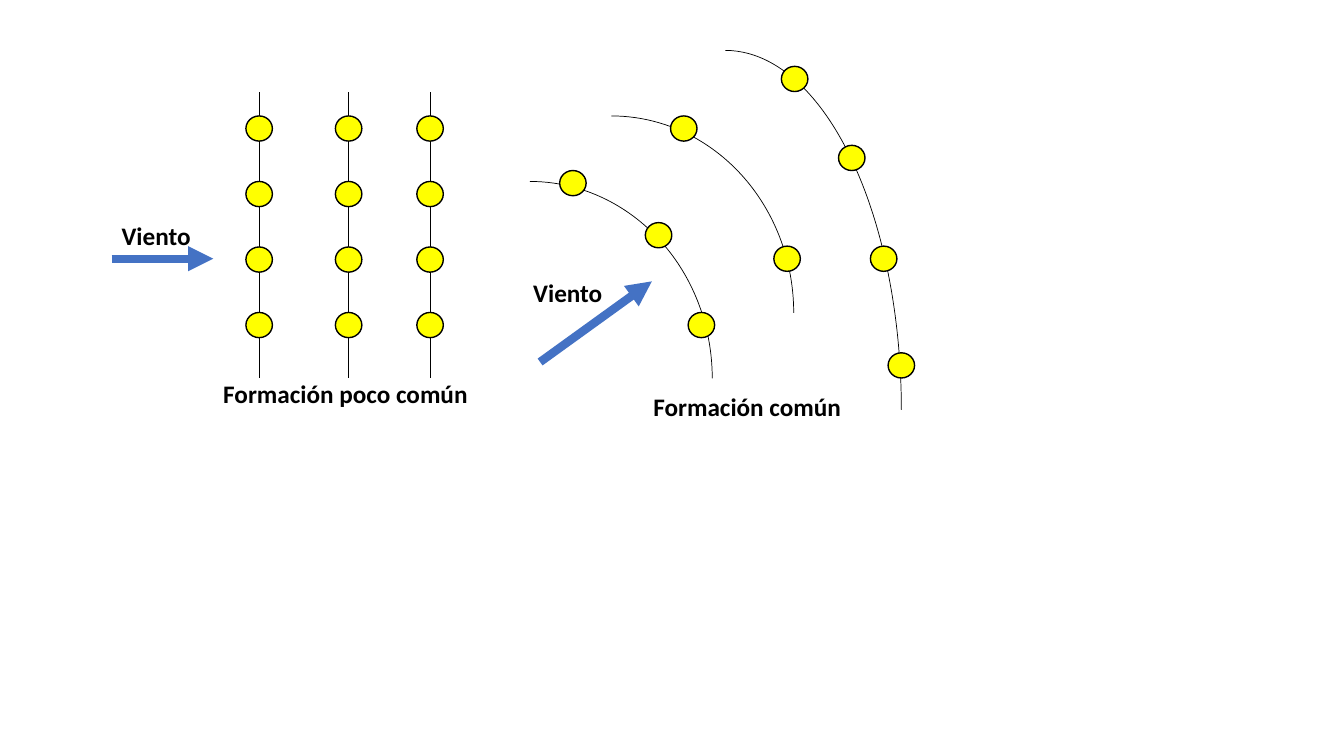
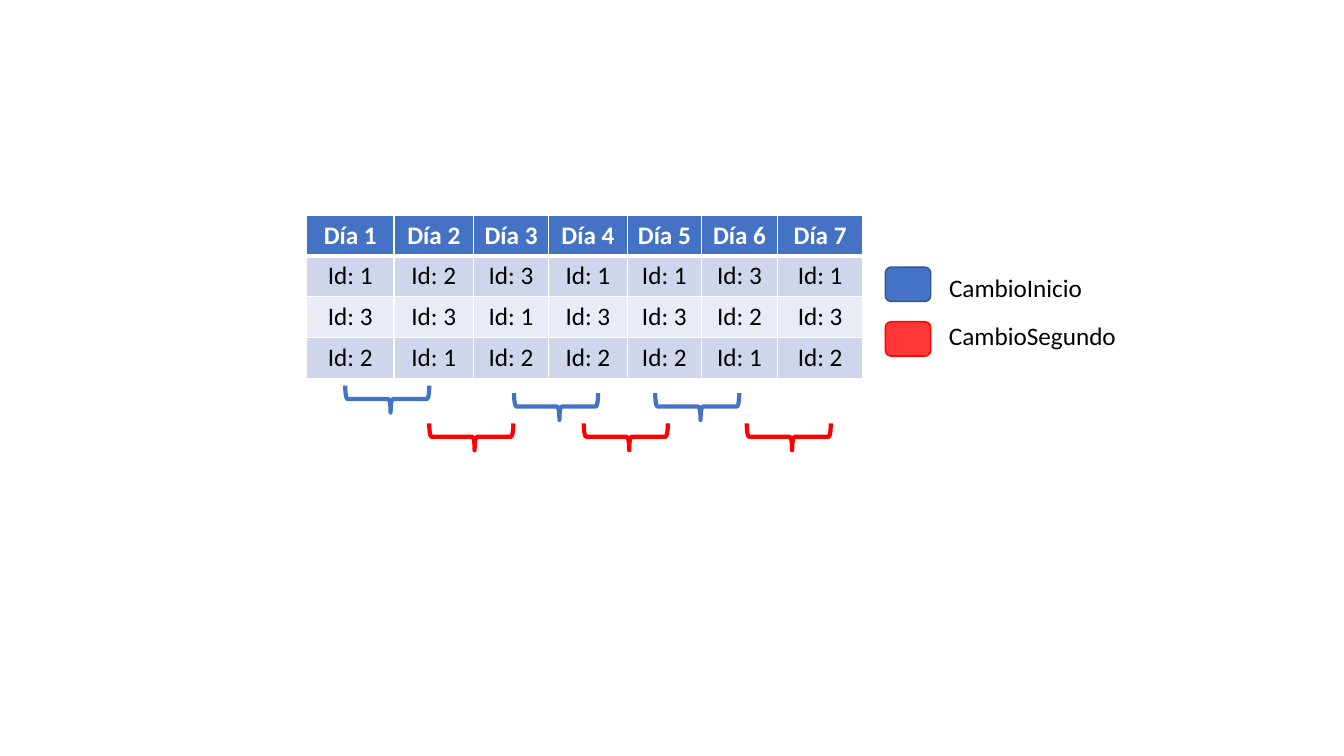
from lxml import etree
from pptx import Presentation
from pptx.dml.color import RGBColor
from pptx.enum.shapes import MSO_CONNECTOR, MSO_SHAPE
from pptx.enum.text import MSO_AUTO_SIZE, PP_ALIGN
from pptx.oxml.ns import qn
from pptx.util import Inches, Pt

BLACK = RGBColor(0x00, 0x00, 0x00)
WHITE = RGBColor(0xFF, 0xFF, 0xFF)
YELLOW = RGBColor(0xFF, 0xFF, 0x00)
RED = RGBColor(0xFF, 0x00, 0x00)
SOFT_RED = RGBColor(0xFF, 0x37, 0x37)
BLUE = RGBColor(0x44, 0x72, 0xC4)
DARK_BLUE = RGBColor(0x32, 0x54, 0x91)
BAND_DARK = RGBColor(0xCF, 0xD5, 0xEA)
BAND_LIGHT = RGBColor(0xE9, 0xEB, 0xF5)

ARC = MSO_SHAPE.ARC
BRACE = MSO_SHAPE.LEFT_BRACE
OVAL = MSO_SHAPE.OVAL
ROUNDED = MSO_SHAPE.ROUNDED_RECTANGLE
STRAIGHT = MSO_CONNECTOR.STRAIGHT
CENTER = PP_ALIGN.CENTER
GROW = MSO_AUTO_SIZE.SHAPE_TO_FIT_TEXT

FONT = "Calibri"
TEXT_SIZE = Pt(18)
BLANK_LAYOUT = 6
COLUMNS, ROWS = 160, 90  # square grid over a 16:9 slide


class Deck:
    """Holds the shared style and the slide being drawn."""

    def __init__(self):
        self.prs = Presentation()
        self.prs.slide_width = Inches(13.33)
        self.prs.slide_height = Inches(7.5)
        self.s = None

    def x(self, columns):
        return int(self.prs.slide_width * columns / COLUMNS)

    def y(self, rows):
        return int(self.prs.slide_height * rows / ROWS)

    def box(self, left, top, width, height):
        return self.x(left), self.y(top), self.x(width), self.y(height)

    def new_slide(self):
        self.s = self.prs.slides.add_slide(self.prs.slide_layouts[BLANK_LAYOUT])

    def style_text(self, p, color, bold):
        for r in p.runs:
            r.font.name = FONT
            r.font.size = TEXT_SIZE
            r.font.bold = bold
            r.font.color.rgb = color

    def shape(self, kind, left, top, width, height, line, weight, fill=None):
        sp = self.s.shapes.add_shape(kind, *self.box(left, top, width, height))
        sp.shadow.inherit = False
        if fill is None:
            sp.fill.background()
        else:
            sp.fill.solid()
            sp.fill.fore_color.rgb = fill
        sp.line.color.rgb = line
        sp.line.width = Pt(weight)
        return sp

    def turbine(self, cx, cy, width=3.15, height=3):
        self.shape(OVAL, cx - width / 2, cy - height / 2, width, height,
                   BLACK, 1, YELLOW)

    def brace(self, cx, cy, color, depth=3.2, span=10):
        sp = self.shape(BRACE, cx - depth / 2, cy - span / 2, depth, span, color, 3)
        sp.rotation = 270
        sp.adjustments[0] = 0.08
        sp.adjustments[1] = 0.54

    def line(self, x1, y1, x2, y2, color=BLACK, weight=0.5, arrow=False):
        cn = self.s.shapes.add_connector(
            STRAIGHT, self.x(x1), self.y(y1), self.x(x2), self.y(y2))
        cn.line.color.rgb = color
        cn.line.width = Pt(weight)
        if arrow:
            etree.SubElement(cn.line._get_or_add_ln(), qn("a:tailEnd"), type="triangle")
        etree.SubElement(cn._element.spPr, qn("a:effectLst"))

    def label(self, text, left, top, width, bold=False):
        tf = self.s.shapes.add_textbox(*self.box(left, top, width, 4.8)).text_frame
        tf.word_wrap = False
        tf.auto_size = GROW
        tf.text = text
        self.style_text(tf.paragraphs[0], BLACK, bold)

    def border(self, cell, side, weight):
        ln = etree.SubElement(cell._tc.get_or_add_tcPr(), qn(f"a:ln{side}"),
                              w=str(Pt(weight)))
        fill = etree.SubElement(ln, qn("a:solidFill"))
        etree.SubElement(fill, qn("a:srgbClr"), val=str(WHITE))

    def table(self, data, left, top, widths, row_height):
        frame = self.s.shapes.add_table(
            len(data), len(widths),
            *self.box(left, top, sum(widths), row_height * len(data)))
        table = frame.table
        for column, width in zip(table.columns, widths):
            column.width = self.x(width)
        for i, values in enumerate(data):
            table.rows[i].height = self.y(row_height)
            header = i == 0
            band = BLUE if header else BAND_DARK if i % 2 else BAND_LIGHT
            for j, value in enumerate(values):
                cell = table.cell(i, j)
                # Borders precede the fill in the cell properties
                for side in "LRTB":
                    thick = (i, side) in ((0, "B"), (1, "T"))
                    self.border(cell, side, 3 if thick else 1)
                cell.fill.solid()
                cell.fill.fore_color.rgb = band
                cell.text = value
                p = cell.text_frame.paragraphs[0]
                p.alignment = CENTER
                self.style_text(p, WHITE if header else BLACK, header)


def formations_slide(deck):
    deck.new_slide()

    # Straight rows and curved rows
    straight_rows = (30.85, 41.5, 51.2)
    for x in straight_rows:
        deck.line(x, 11, x, 45)
    for arc in ((41.4, 21.6, 43.4, 46.9), (51.1, 13.8, 43.4, 46.9),
                (65.4, 6, 41.9, 85.6)):
        deck.shape(ARC, *arc, BLACK, 0.5)

    # Turbines
    for x in straight_rows:
        for i in range(4):
            deck.turbine(x, 15.3 + 7.8 * i)
    for center in ((68.2, 21.8), (78.4, 28), (83.5, 38.7),
                   (81.4, 15.3), (93.7, 30.8),
                   (94.6, 9.4), (101.4, 18.8), (105.2, 30.8), (107.3, 43.5)):
        deck.turbine(*center)

    # Wind arrows and captions
    deck.line(13.3, 30.8, 25.4, 30.8, BLUE, 6, arrow=True)
    deck.line(64.3, 43.1, 77.6, 33.5, BLUE, 6, arrow=True)
    for text, left, top, width in (("Formación poco común", 25.4, 44.5, 31.7),
                                   ("Formación común", 76.6, 46, 25),
                                   ("Viento", 13.3, 25.6, 10.7),
                                   ("Viento", 62.3, 32.4, 10.7)):
        deck.label(text, left, top, width, bold=True)


def changes_slide(deck):
    deck.new_slide()

    # Order of the ids on each day
    days = ("132", "231", "312", "132", "132", "321", "132")
    data = [[f"Día {n}" for n in range(1, len(days) + 1)]]
    data += [[f"Id: {n}" for n in row] for row in zip(*days)]
    deck.table(data, 36.5, 25.6, (10.4, 9.5, 8.9, 9.4, 8.8, 9.1, 10.1), 4.87)

    # Braces between consecutive days
    for cx, cy in ((46.1, 47.5), (66.2, 48.4), (83, 48.4)):
        deck.brace(cx, cy, BLUE)
    for cx in (56.1, 74.5, 93.9):
        deck.brace(cx, 52, RED)

    # Legend
    for text, width, text_top, swatch_top, fill, line in (
            ("CambioInicio", 18.5, 31.8, 31.8, BLUE, DARK_BLUE),
            ("CambioSegundo", 22.6, 37.6, 38.3, SOFT_RED, RED)):
        deck.shape(ROUNDED, 105.4, swatch_top, 5.4, 4.1, line, 1, fill)
        deck.label(text, 111.8, text_top, width)


def main():
    deck = Deck()
    formations_slide(deck)
    changes_slide(deck)
    deck.prs.save("out.pptx")


if __name__ == "__main__":
    main()
